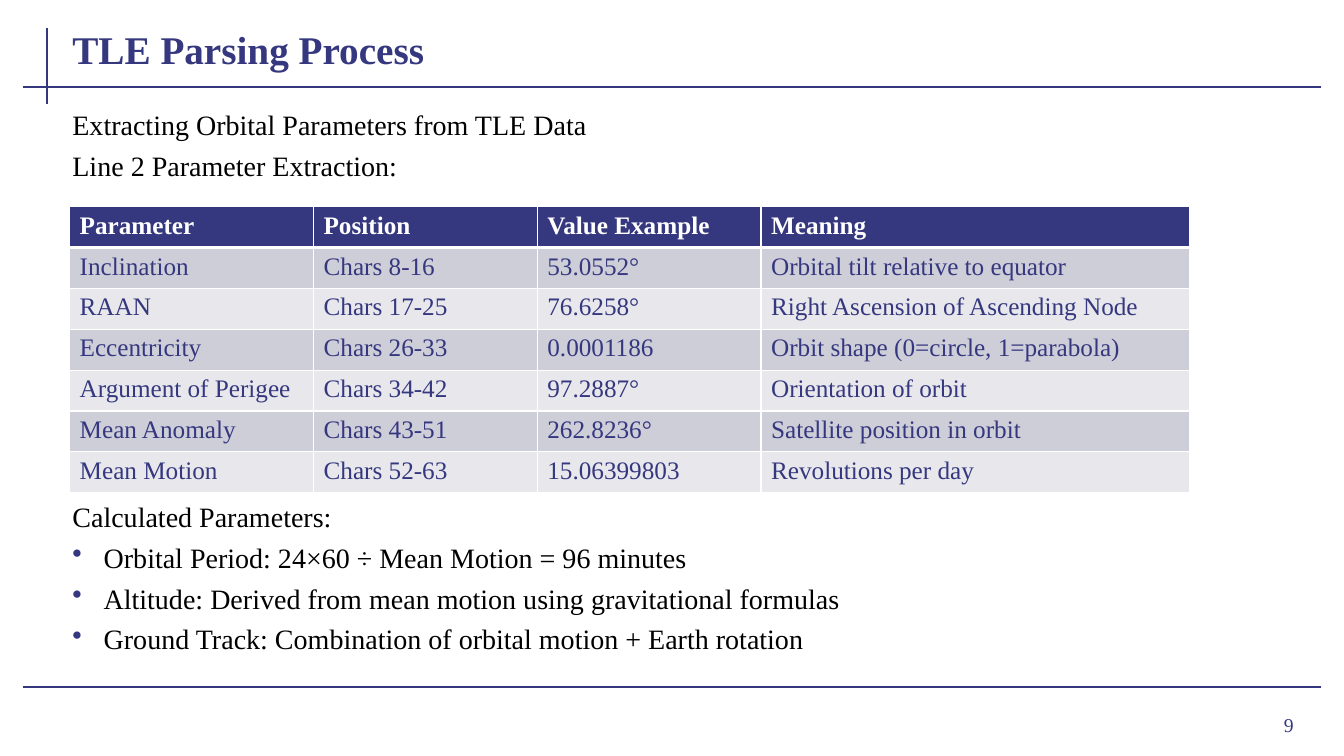
from dataclasses import dataclass

from lxml.etree import SubElement
from pptx import Presentation
from pptx.dml.color import RGBColor
from pptx.enum.shapes import MSO_CONNECTOR
from pptx.enum.text import MSO_ANCHOR, PP_ALIGN
from pptx.oxml.ns import qn
from pptx.util import Inches, Pt


@dataclass(frozen=True)
class Theme:
    font: str = "Times New Roman"
    accent: str = "35377F"
    ink: str = "000000"
    paper: str = "FFFFFF"
    bands: tuple = ("CECED8", "E8E8EC")
    title_size: int = 28
    body_size: int = 20
    table_size: int = 18
    number_size: int = 14
    paragraph_gap: int = 5
    rule_width: float = 1.5
    border_width: int = 1
    header_border_width: int = 3


def apply(target, formats):
    for attribute, value in formats.items():
        setattr(target, attribute, value)


class SlideBuilder:
    """Draws on one slide; lengths are percentages of its width and height."""

    def __init__(self, theme):
        self.theme = theme
        self.deck = Presentation()
        apply(self.deck, {"slide_width": Inches(13.33), "slide_height": Inches(7.5)})
        self.slide = self.deck.slides.add_slide(self.deck.slide_layouts[6])

    def x(self, columns):
        return round(self.deck.slide_width * columns / 100)

    def y(self, rows):
        return round(self.deck.slide_height * rows / 100)

    def place(self, left, top, width, height):
        return self.x(left), self.y(top), self.x(width), self.y(height)

    def style(self, font, size, color, bold=False):
        apply(font, {"name": self.theme.font, "size": Pt(size), "bold": bold})
        font.color.rgb = RGBColor.from_string(color)

    def rule(self, x1, y1, x2, y2):
        line = self.slide.shapes.add_connector(
            MSO_CONNECTOR.STRAIGHT, self.x(x1), self.y(y1), self.x(x2), self.y(y2))
        line.line.width = Pt(self.theme.rule_width)
        line.line.color.rgb = RGBColor.from_string(self.theme.accent)
        SubElement(line._element.spPr, qn("a:effectLst"))

    def bullet(self, paragraph):
        properties = paragraph._p.get_or_add_pPr()
        indent = Inches(0.31)
        properties.set("marL", str(indent))
        properties.set("indent", str(-indent))
        color = SubElement(properties, qn("a:buClr"))
        SubElement(color, qn("a:srgbClr"), val=self.theme.accent)
        SubElement(properties, qn("a:buChar"), char="•")

    def text(self, area, lines, size, color, bold=False, bulleted_from=None,
             anchor=MSO_ANCHOR.TOP, align=PP_ALIGN.LEFT):
        frame = self.slide.shapes.add_textbox(*self.place(*area)).text_frame
        apply(frame, {"word_wrap": True, "vertical_anchor": anchor})
        for index, line in enumerate(lines):
            paragraph = frame.add_paragraph() if index else frame.paragraphs[0]
            if bulleted_from is not None and index >= bulleted_from:
                self.bullet(paragraph)
            paragraph.alignment = align
            if index:
                paragraph.space_before = Pt(self.theme.paragraph_gap)
            run = paragraph.add_run()
            run.text = line
            self.style(run.font, size, color, bold)

    def borders(self, cell, row):
        thin, thick = self.theme.border_width, self.theme.header_border_width
        widths = {"L": thin, "R": thin,
                  "T": thick if row == 1 else thin,
                  "B": thick if row == 0 else thin}
        properties = cell._tc.get_or_add_tcPr()
        for side, width in widths.items():
            border = SubElement(properties, qn(f"a:ln{side}"), w=str(Pt(width)))
            fill = SubElement(border, qn("a:solidFill"))
            SubElement(fill, qn("a:srgbClr"), val=self.theme.paper)

    def table(self, left, top, column_widths, row_height, records):
        theme = self.theme
        area = self.place(left, top, sum(column_widths), row_height * len(records))
        table = self.slide.shapes.add_table(
            len(records), len(column_widths), *area).table
        for column, width in zip(table.columns, column_widths):
            column.width = self.x(width)
        for row, record in enumerate(records):
            is_header = row == 0
            table.rows[row].height = self.y(row_height)
            background = theme.accent if is_header else theme.bands[(row - 1) % 2]
            for column, value in enumerate(record):
                cell = table.cell(row, column)
                self.borders(cell, row)
                cell.fill.solid()
                cell.fill.fore_color.rgb = RGBColor.from_string(background)
                run = cell.text_frame.paragraphs[0].add_run()
                run.text = value
                self.style(run.font, theme.table_size,
                           theme.paper if is_header else theme.accent, is_header)


PARAMETERS = [
    ("Parameter", "Position", "Value Example", "Meaning"),
    ("Inclination", "Chars 8-16", "53.0552°", "Orbital tilt relative to equator"),
    ("RAAN", "Chars 17-25", "76.6258°", "Right Ascension of Ascending Node"),
    ("Eccentricity", "Chars 26-33", "0.0001186", "Orbit shape (0=circle, 1=parabola)"),
    ("Argument of Perigee", "Chars 34-42", "97.2887°", "Orientation of orbit"),
    ("Mean Anomaly", "Chars 43-51", "262.8236°", "Satellite position in orbit"),
    ("Mean Motion", "Chars 52-63", "15.06399803", "Revolutions per day"),
]
INTRODUCTION = [
    "Extracting Orbital Parameters from TLE Data",
    "Line 2 Parameter Extraction:",
]
CALCULATIONS = [
    "Calculated Parameters:",
    "Orbital Period: 24×60 ÷ Mean Motion = 96 minutes",
    "Altitude: Derived from mean motion using gravitational formulas",
    "Ground Track: Combination of orbital motion + Earth rotation",
]


def main():
    theme = Theme()
    page = SlideBuilder(theme)
    margin, text_width = 4.65, 93.7

    page.rule(3.53, 3.73, 3.53, 13.73)
    for height in (11.47, 90.93):
        page.rule(1.73, height, 98.28, height)
    page.text((89.72, 92.4, 7.28, 6.93), ["9"], theme.number_size, theme.accent,
              anchor=MSO_ANCHOR.MIDDLE, align=PP_ALIGN.RIGHT)
    page.text((margin, 2, text_width, 8.27), ["TLE Parsing Process"],
              theme.title_size, theme.accent, bold=True, anchor=MSO_ANCHOR.BOTTOM)
    page.text((margin, 13.6, text_width, 11), INTRODUCTION,
              theme.body_size, theme.ink)
    page.text((margin, 65.47, text_width, 23.6), CALCULATIONS,
              theme.body_size, theme.ink, bulleted_from=1)
    page.table(5.18, 27.33, (18.15, 16.65, 16.65, 31.88), 5.41, PARAMETERS)
    page.deck.save("out.pptx")


if __name__ == "__main__":
    main()
